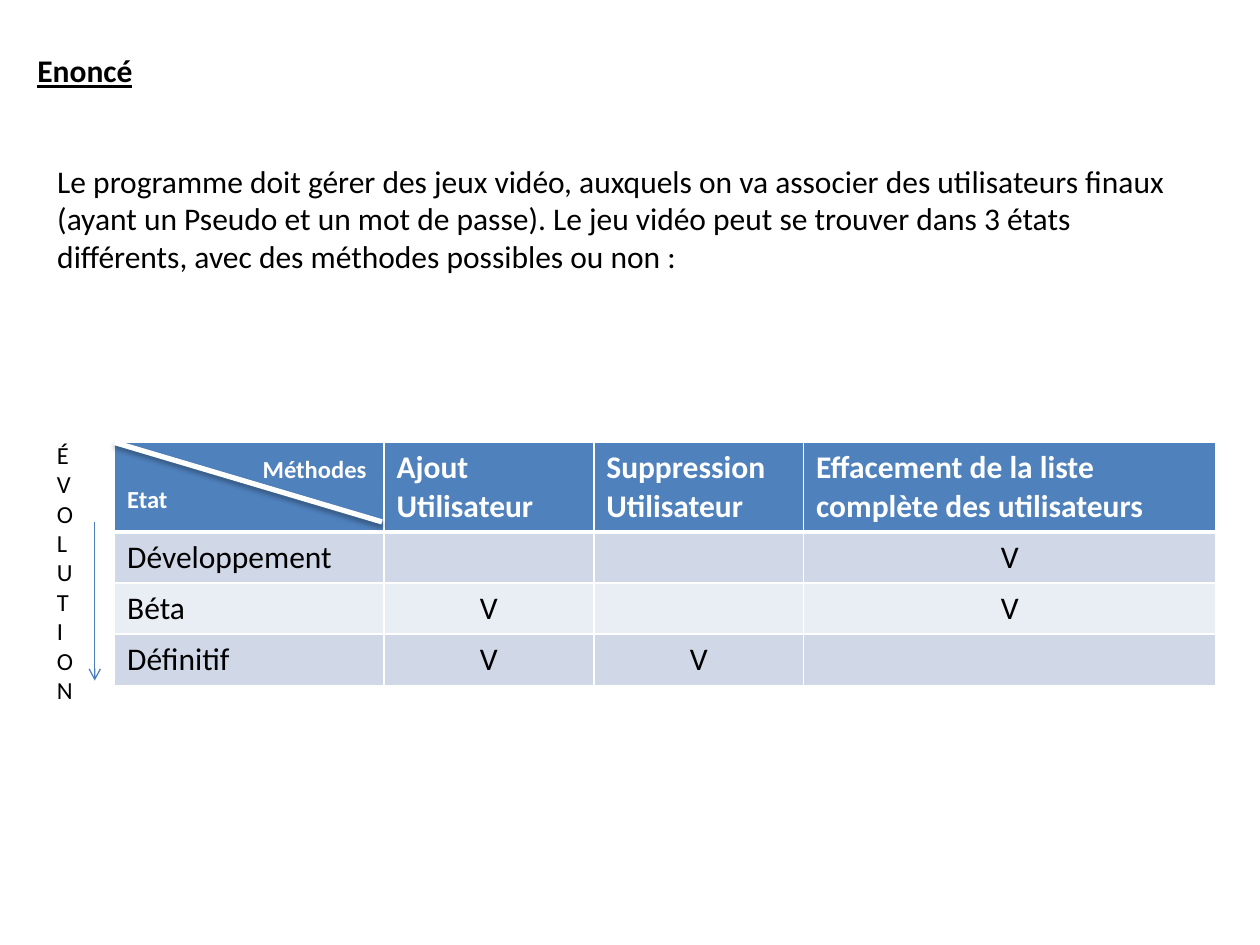
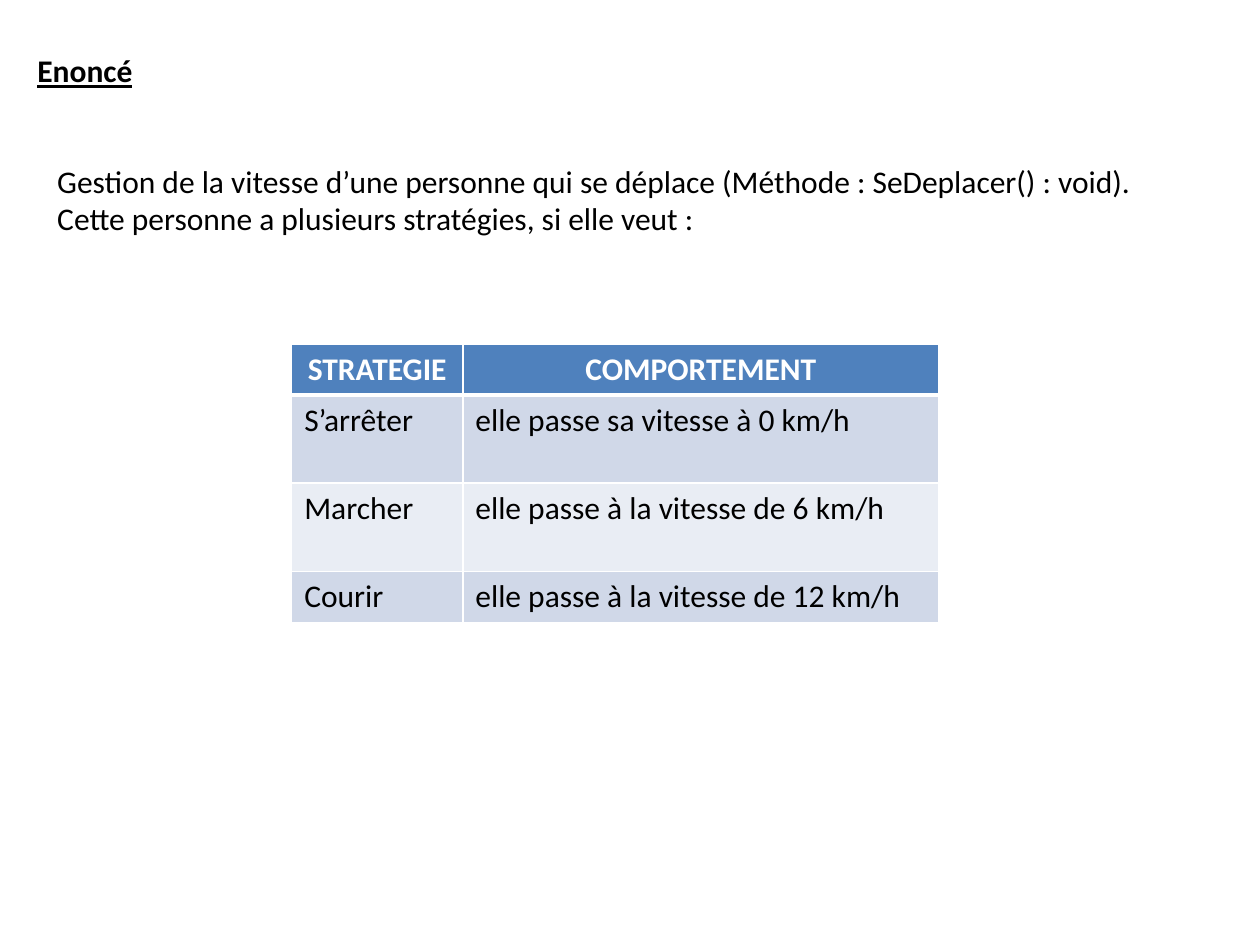
from lxml import etree
from pptx import Presentation
from pptx.dml.color import RGBColor
from pptx.enum import shapes, text
from pptx.oxml import parse_xml
from pptx.oxml.ns import nsdecls, qn
from pptx.util import Cm, Pt

BLACK = RGBColor(0x00, 0x00, 0x00)
WHITE = RGBColor(0xFF, 0xFF, 0xFF)
HEADER_BLUE = RGBColor(0x4F, 0x81, 0xBD)
ARROW_BLUE = RGBColor(0x4B, 0x7E, 0xBC)
BANDS = [RGBColor(0xE9, 0xED, 0xF4), RGBColor(0xD0, 0xD8, 0xE8)]
FONT = "Calibri"
LEFT, CENTER = text.PP_ALIGN.LEFT, text.PP_ALIGN.CENTER


def write(p, words, size=18, color=BLACK, bold=False, align=LEFT):
    p.alignment = align
    r = p.add_run()
    r.text = words
    r.font.name, r.font.size, r.font.bold = FONT, Pt(size), bold
    r.font.color.rgb = color
    return r


def add_grid(s, left, top, widths, heights, rows, head_align, mark_align):
    """Banded table: blue header, white rules, thicker rule below the header."""
    frame = s.shapes.add_table(len(rows), len(widths), Cm(left), Cm(top),
                               Cm(sum(widths)), Cm(sum(heights)))
    table = frame.table
    for column, width in zip(table.columns, widths):
        column.width = Cm(width)
    for i, row in enumerate(rows):
        table.rows[i].height = Cm(heights[i])
        for j, words in enumerate(row):
            cell = table.cell(i, j)
            tcPr = cell._tc.get_or_add_tcPr()
            for side in "LRTB":
                thick = (i, side) in ((0, "B"), (1, "T"))
                tcPr.append(parse_xml(
                    f'<a:ln{side} {nsdecls("a")} w="{Pt(3 if thick else 1)}"><a:solidFill>'
                    f'<a:srgbClr val="{WHITE}"/></a:solidFill></a:ln{side}>'))
            cell.fill.solid()
            cell.fill.fore_color.rgb = BANDS[i % 2] if i else HEADER_BLUE
            if words:
                align = head_align if i == 0 else mark_align if j else LEFT
                write(cell.text_frame.paragraphs[0], words, color=BLACK if i else WHITE,
                      bold=i == 0, align=align)
    return table


prs = Presentation()
prs.slide_width, prs.slide_height = Cm(25.4), Cm(19.05)

# Both slides: underlined heading and introduction
INTROS = [
    "Le programme doit gérer des jeux vidéo, auxquels on va associer des utilisateurs finaux "
    "(ayant un Pseudo et un mot de passe). Le jeu vidéo peut se trouver dans 3 états "
    "différents, avec des méthodes possibles ou non :",
    "Gestion de la vitesse d’une personne qui se déplace (Méthode : SeDeplacer() : void). "
    "Cette personne a plusieurs stratégies, si elle veut :",
]
for intro, height in zip(INTROS, (2.57, 1.8)):
    s = prs.slides.add_slide(prs.slide_layouts[1])
    title, body = s.shapes.title, s.placeholders[1]
    title.left, title.top, title.width, title.height = Cm(0.5), Cm(0.91), Cm(6.9), Cm(1.02)
    body.left, body.top, body.width, body.height = Cm(0.9), Cm(3.13), Cm(23), Cm(height)
    for sp in (title, body):
        tf = sp.text_frame
        tf.auto_size = text.MSO_AUTO_SIZE.NONE
        tf.vertical_anchor = text.MSO_ANCHOR.TOP
    r = write(title.text_frame.paragraphs[0], "Enoncé", bold=True)
    r.font.underline = True
    p = body.text_frame.paragraphs[0]
    write(p, intro)
    p.space_before = Pt(0)
    pPr = p._p.get_or_add_pPr()
    pPr.set("marL", "0")
    pPr.set("indent", "0")
    etree.SubElement(pPr, qn("a:buNone"))

states_slide, strategies_slide = prs.slides

# Slide 1: states and the methods they allow
ROW, TALL_ROW = 1.03, 1.78
states = add_grid(
    states_slide, 2.31, 8.92, [5.43, 4.23, 4.23, 8.31], [TALL_ROW, ROW, ROW, ROW],
    [["", "Ajout Utilisateur", "Suppression Utilisateur",
      "Effacement de la liste complète des utilisateurs"],
     ["Développement", "", "", "V"],
     ["Béta", "V", "", "V"],
     ["Définitif", "V", "V", ""]], LEFT, CENTER)
corner = states.cell(0, 0)
corner.margin_top = Cm(0.25)
tf = corner.text_frame
write(tf.paragraphs[0], "Méthodes", 14, WHITE, True)
tf.paragraphs[0]._p.get_or_add_pPr().set("marL", str(Cm(2.73)))
write(tf.add_paragraph(), "Etat", 14, WHITE, True)

# Corner diagonal with a soft shadow, then the evolution arrow
SHADOW = (f'<a:outerShdw blurRad="{Pt(3.1)}" dist="{Pt(1.8)}" dir="5400000" rotWithShape="0">'
          '<a:srgbClr val="000000"><a:alpha val="35000"/></a:srgbClr></a:outerShdw>')
for x1, y1, x2, y2, color, width, effect in [
        (2.31, 8.92, 7.7, 10.52, WHITE, 3, SHADOW),
        (1.91, 10.52, 1.91, 13.72, ARROW_BLUE, 0.75, "")]:
    line = states_slide.shapes.add_connector(shapes.MSO_CONNECTOR.STRAIGHT,
                                             Cm(x1), Cm(y1), Cm(x2), Cm(y2))
    line.line.color.rgb = color
    line.line.width = Pt(width)
    line._element.spPr.append(parse_xml(f'<a:effectLst {nsdecls("a")}>{effect}</a:effectLst>'))
arrow = line
etree.SubElement(arrow.line._get_or_add_ln(), qn("a:tailEnd"), type="arrow")

evolution = states_slide.shapes.add_textbox(Cm(0.9), Cm(8.74), Cm(0.9), Cm(5.64))
tf = evolution.text_frame
tf.word_wrap = True
for i, letter in enumerate("ÉVOLUTION"):
    write(tf.add_paragraph() if i else tf.paragraphs[0], letter, 14)

# Slide 2: strategies
add_grid(
    strategies_slide, 5.88, 6.93, [3.45, 9.6], [ROW, TALL_ROW, TALL_ROW, ROW],
    [["STRATEGIE", "COMPORTEMENT"],
     ["S’arrêter", "elle passe sa vitesse à 0 km/h"],
     ["Marcher", "elle passe à la vitesse de 6 km/h"],
     ["Courir", "elle passe à la vitesse de 12 km/h"]], CENTER, LEFT)

prs.save("out.pptx")
